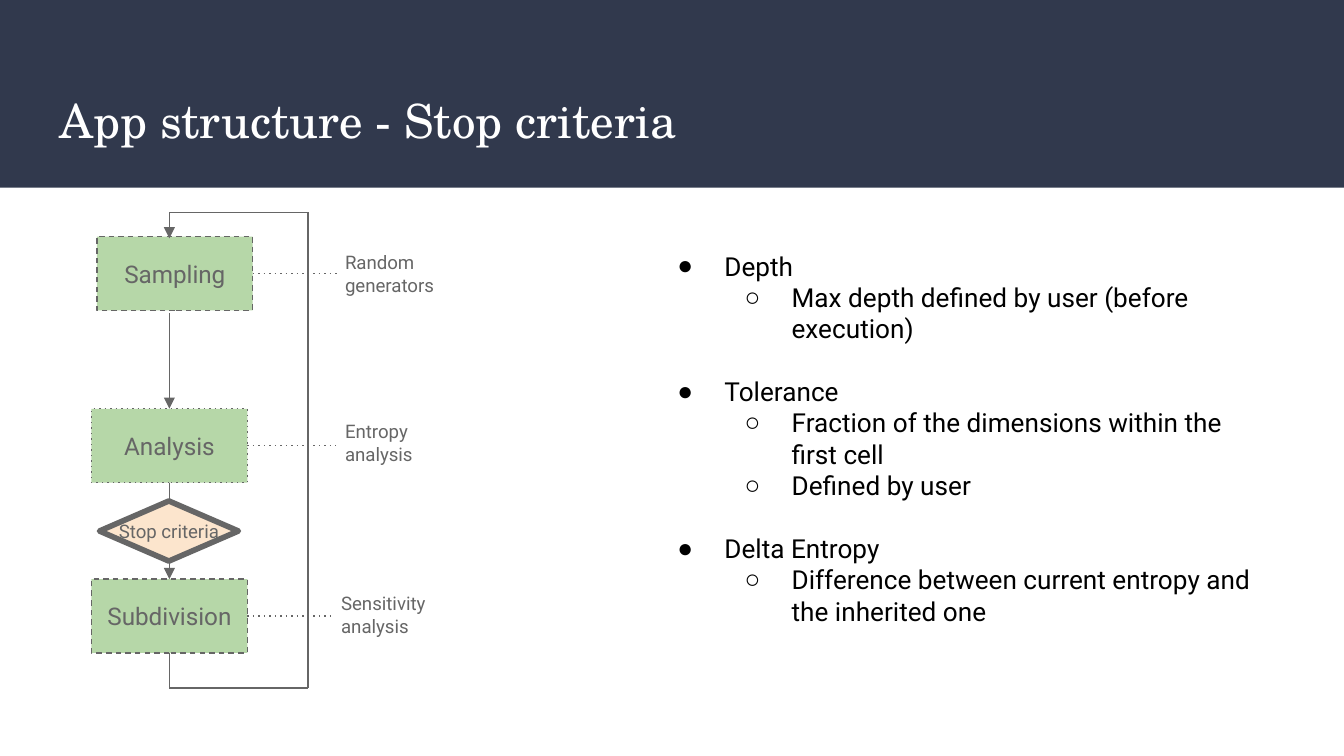
from pptx import Presentation
from pptx.dml.color import RGBColor
from pptx.enum.dml import MSO_LINE
from pptx.enum.shapes import MSO_CONNECTOR, MSO_SHAPE
from pptx.enum.text import MSO_ANCHOR, MSO_AUTO_SIZE, PP_ALIGN
from pptx.oxml.ns import qn
from pptx.util import Pt

RECT, DIAMOND = MSO_SHAPE.RECTANGLE, MSO_SHAPE.DIAMOND
STRAIGHT = MSO_CONNECTOR.STRAIGHT
DASH, DOT = MSO_LINE.DASH, MSO_LINE.ROUND_DOT
MIDDLE, TOP = MSO_ANCHOR.MIDDLE, MSO_ANCHOR.TOP
LEFT, CENTER = PP_ALIGN.LEFT, PP_ALIGN.CENTER

THEME = {
    "serif": "TeX Gyre Schola", "sans": "Roboto",
    "band": "31394D", "white": "FFFFFF", "black": "000000",
    "gray": "666666", "green": "B6D7A8", "peach": "FCE5CD",
    "title": 25.2, "body": 14, "step": 13, "note": 10,
    "thin": 0.75, "thick": 3,
}

TITLE = "App structure - Stop criteria"
# Step, left, top, border, note, note left, note top, note width, line end
STEPS = [
    ("Sampling", 51.9, 126.7, DASH, "Random generators", 177.8, 127.4, 75, 180.7),
    ("Analysis", 49, 219, DOT, "Entropy analysis", 177.8, 217.8, 60.5, 180.2),
    ("Subdivision", 49, 310.2, DASH, "Sensitivity analysis", 175.7, 310, 64, 179.3),
]
CHECK = "Stop criteria"
CRITERIA = [
    ("Depth", ["Max depth defined by user (before execution)"]),
    ("Tolerance", ["Fraction of the dimensions within the first cell",
                   "Defined by user"]),
    ("Delta Entropy",
     ["Difference between current entropy and the inherited one"]),
]

WIDE, HIGH = 83.5, 39.6
SPINE = 49 + WIDE / 2
LOOP_TOP, LOOP_LOW, LOOP_SIDE = 113.7, 368.6, 165

deck = Presentation()
deck.slide_width, deck.slide_height = Pt(720), Pt(405)
slide = deck.slides.add_slide(deck.slide_layouts[1])
shapes = slide.shapes


def tint(name):
    return RGBColor.from_string(THEME[name])


def style(para, size, color, face="sans", align=LEFT):
    para.alignment = align
    para.font.name = THEME[face]
    para.font.size = Pt(THEME[size])
    para.font.color.rgb = tint(color)


def place(shape, left, top, width, height):
    shape.left, shape.top = Pt(left), Pt(top)
    shape.width, shape.height = Pt(width), Pt(height)


def frame(shape, inset=7.2, anchor=TOP, wrap=True):
    text = shape.text_frame
    text.margin_left = text.margin_right = Pt(inset)
    text.margin_top = text.margin_bottom = Pt(inset)
    text.word_wrap, text.vertical_anchor = wrap, anchor
    text.auto_size = MSO_AUTO_SIZE.NONE
    return text


def dash(line, kind):
    line.dash_style = kind
    if kind == DOT:  # the wider "dot" pattern has no enum member
        line._ln.find(qn("a:prstDash")).set("val", "dot")


def block(kind, area, fill, label="", size="step"):
    shape = shapes.add_shape(kind, *map(Pt, area))
    shape.shadow.inherit = False
    shape.fill.solid()
    shape.fill.fore_color.rgb = tint(fill)
    if label:
        shape.line.color.rgb = tint("gray")
        shape.line.width = Pt(THEME["thin"])
        text = frame(shape, 0, MIDDLE, False)
        text.text = label
        style(text.paragraphs[0], size, "gray", align=CENTER)
    else:
        shape.line.fill.background()
    return shape


def link(start, end, arrow=False):
    wire = shapes.add_connector(STRAIGHT, *map(Pt, start + end))
    wire.line.color.rgb = tint("gray")
    wire.line.width = Pt(THEME["thin"])
    if arrow:
        tail = wire.line._ln.makeelement(qn("a:tailEnd"), {"type": "triangle"})
        wire.line._ln.append(tail)
    props = wire._element.spPr
    props.append(props.makeelement(qn("a:effectLst"), {}))
    return wire


def bullet(para, mark, indent):
    props = para._p.get_or_add_pPr()
    props.set("marL", str(Pt(indent)))
    props.set("indent", str(Pt(-25.2)))
    props.append(props.makeelement(qn("a:buChar"), {"char": mark}))


# Header
block(RECT, (0, 0, 720, 100.6), "band")
title = shapes.title
place(title, 24.5, 39.6, 671, 49)
head = frame(title, anchor=MIDDLE)
head.text = TITLE
style(head.paragraphs[0], "title", "white", "serif")
shapes._spTree.append(title._element)  # above the band

# Steps with their notes
boxes = []
for name, left, top, edge, note, note_x, note_y, note_w, stop in STEPS:
    box = block(RECT, (left, top, WIDE, HIGH), "green", name)
    dash(box.line, edge)
    boxes.append(box)
    mid = top + HIGH / 2
    lead = link((left + WIDE, mid), (stop, mid))
    lead.begin_connect(box, 3)
    dash(lead.line, DOT)
    text = frame(shapes.add_textbox(*map(Pt, (note_x, note_y, note_w, HIGH))))
    text.text = note
    style(text.paragraphs[0], "note", "gray")

# Flow down the spine, then back up to the first step
tops = [step[2] for step in STEPS]
for index in (0, 1):
    wire = link((SPINE, tops[index] + HIGH + 1.5), (SPINE, tops[index + 1]), True)
    wire.end_connect(boxes[index + 1], 0)
    if index:
        wire.begin_connect(boxes[index], 2)
loop = [(SPINE, tops[2] + HIGH), (SPINE, LOOP_LOW), (LOOP_SIDE, LOOP_LOW),
        (LOOP_SIDE, LOOP_TOP), (SPINE, LOOP_TOP), (SPINE, tops[0] + 1)]
for start, end in zip(loop, loop[1:]):
    wire = link(start, end, end == loop[-1])
    if start == loop[0]:
        wire.begin_connect(boxes[2], 2)

check = block(DIAMOND, (53.3, 268.4, 74.4, 32.2), "peach", CHECK, "note")
check.line.width = Pt(THEME["thick"])

# Criteria list
body = slide.placeholders[1]
place(body, 344.9, 126.7, 337.7, 223.2)
text = frame(body)
rows = [(level, line) for name, parts in CRITERIA
        for level, line in [(0, name)] + [(1, part) for part in parts]]
for index, (level, line) in enumerate(rows):
    para = text.paragraphs[0] if index == 0 else text.add_paragraph()
    para.text, para.level = line, level
    para.line_spacing = 1.0
    para.space_before = Pt(0 if level or index == 0 else 16.8)
    style(para, "body", "black")
    bullet(para, "●○"[level], 36 * (level + 1))

deck.save("out.pptx")
